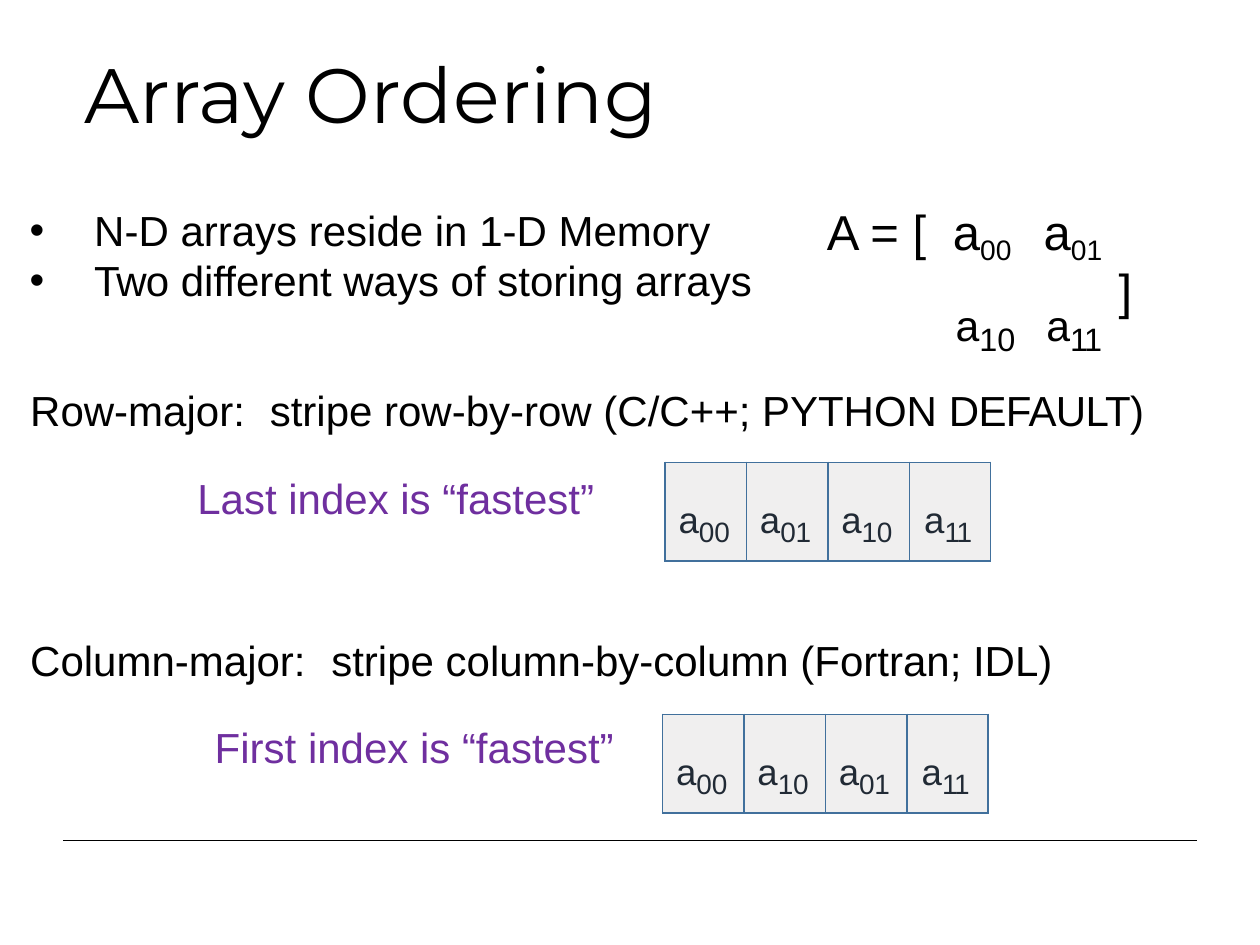
from lxml import etree
from pptx import Presentation
from pptx.dml.color import RGBColor
from pptx.enum.shapes import MSO_CONNECTOR
from pptx.enum.text import MSO_ANCHOR, MSO_AUTO_SIZE, PP_ALIGN
from pptx.oxml.ns import qn
from pptx.util import Cm, Pt

STRAIGHT = MSO_CONNECTOR.STRAIGHT
TOP = MSO_ANCHOR.TOP
NO_AUTOFIT = MSO_AUTO_SIZE.NONE
LEFT, RIGHT = PP_ALIGN.LEFT, PP_ALIGN.RIGHT
BLACK, PURPLE, INK = "000000", "6F2F9F", "212A35"
BORDER, CELL = "41709C", "F0EFEF"


def prepare_frame(frame, top_inset):
    """Wrap a text frame, anchor it at the top and drop its side insets."""
    frame.word_wrap = True
    frame.auto_size = NO_AUTOFIT
    frame.vertical_anchor = TOP
    frame.margin_left = frame.margin_right = frame.margin_bottom = 0
    frame.margin_top = Cm(top_inset)
    return frame


def write(paragraph, runs, color=BLACK, font="Arial", align=LEFT, before=0,
          indent=0, tabs=(), bullet=False):
    """Fill a paragraph with (text, size, baseline percent, spacing) runs."""
    paragraph.alignment = align
    paragraph.space_before = Pt(before)
    properties = paragraph._p.get_or_add_pPr()
    if indent:
        properties.set("marL", str(Cm(indent)))
    if bullet:
        properties.set("indent", str(-Cm(indent)))
        etree.SubElement(properties, qn("a:buFont"), typeface="Arial")
        etree.SubElement(properties, qn("a:buChar"), char="•")
    if tabs:
        stops = etree.SubElement(properties, qn("a:tabLst"))
        for stop in tabs:
            etree.SubElement(stops, qn("a:tab"), pos=str(Cm(stop)), algn="l")
    for text, size, baseline, spacing in runs:
        run = paragraph.add_run()
        run.text = text
        run.font.name = font
        run.font.size = Pt(size)
        run.font.color.rgb = RGBColor.from_string(color)
        run_properties = run._r.get_or_add_rPr()
        if baseline:
            run_properties.set("baseline", str(baseline * 1000))
        if spacing:
            run_properties.set("spc", str(round(spacing * 100)))


presentation = Presentation()
presentation.slide_width, presentation.slide_height = Cm(25.4), Cm(19.05)
slide = presentation.slides.add_slide(presentation.slide_layouts[5])
shapes = slide.shapes

# Footer rule and title
rule = shapes.add_connector(STRAIGHT, Cm(1.27), Cm(16.94), Cm(24.13), Cm(16.94))
rule.line.color.rgb = RGBColor.from_string(BLACK)
rule.line.width = Pt(0.48)
etree.SubElement(rule._element.spPr, qn("a:effectLst"))

title = shapes.title
title.left, title.top, title.width, title.height = Cm(1.7), Cm(0.91), Cm(12.6), Cm(1.93)
write(prepare_frame(title.text_frame, 0.03).paragraphs[0],
      [("Array Ordering", 44, 0, 0.2)], font="Montserrat")

# Text blocks: position, top inset, paragraphs with their options
text_blocks = [
    ((0.6, 4.09, 14.63, 2.11), 0.03, [
        ([("N-D arrays reside in 1-D Memory", 24, 0, 0)],
         dict(bullet=True, indent=1.3, before=1)),
        ([("Two", 24, 0, -0.6), (" different ways of storing arrays", 24, 0, 0)],
         dict(bullet=True, indent=1.3)),
    ]),
    ((16.28, 3.78, 5.94, 2.92), 0.28, [
        ([("A = [\ta", 28, 0, 0), ("00\t", 27.8, -20, 0),
          ("a", 28, 0, 0), ("01", 27.8, -20, 0)],
         dict(align=RIGHT, before=7.7, tabs=(2.54, 4.37))),
        ([("a", 42, 13, 0), ("10\t", 18.5, 0, 0),
          ("a", 42, 13, -1.4), ("11", 18.5, 0, -0.9)],
         dict(align=RIGHT, before=6.8, tabs=(1.83,))),
    ]),
    ((22.55, 5.21, 0.36, 1.27), 0.05, [
        ([("]", 28, 0, 0)], dict(before=1.1)),
    ]),
    ((0.58, 3.96, 22.61, 11.89), 3.8, [
        ([("Row-major:\tstripe row-by-row (C/C++; PYTHON ", 24, 0, 0),
          ("DEFAULT)", 24, 0, -0.4)], dict(before=1, indent=0.03, tabs=(4.83,))),
        ([("Last index is “fastest”", 24, 0, 0)],
         dict(color=PURPLE, indent=3.4, before=21.5)),
        ([("Column-major:\tstripe column-by-column (Fortran; IDL)", 24, 0, 0)],
         dict(before=63.5, indent=0.03, tabs=(6.07,))),
        ([("First index is “fastest”", 24, 0, 0)],
         dict(color=PURPLE, indent=3.75, before=21)),
    ]),
]
for position, top_inset, paragraphs in text_blocks:
    box = shapes.add_textbox(*[Cm(length) for length in position])
    frame = prepare_frame(box.text_frame, top_inset)
    for number, (runs, options) in enumerate(paragraphs):
        write(frame.add_paragraph() if number else frame.paragraphs[0], runs, **options)

# Memory layouts
memory_orders = [
    (13.41, 9.32, ("00", "01", "10", "11")),
    (13.36, 14.4, ("00", "10", "01", "11")),
]
for left, top, indices in memory_orders:
    memory = shapes.add_table(1, len(indices), Cm(left), Cm(top), Cm(6.56), Cm(1.99)).table
    memory.first_row = memory.horz_banding = False
    for column, index in enumerate(indices):
        memory.columns[column].width = Cm(1.64)
        cell = memory.cell(0, column)
        cell.margin_left = cell.margin_right = cell.margin_bottom = 0
        cell.margin_top = Cm(0.46)
        tight = index == "11"
        write(cell.text_frame.paragraphs[0],
              [("a", 36, 14, -1.3 if tight else -0.1),
               (index, 16, 0, -0.8 if tight else -0.1)],
              color=INK, before=13, indent=0.3 if tight else 0.27)
        cell_properties = cell._tc.get_or_add_tcPr()
        for side in ("lnL", "lnR", "lnT", "lnB"):
            edge = etree.SubElement(cell_properties, qn("a:" + side), w=str(Pt(1)))
            edge_fill = etree.SubElement(edge, qn("a:solidFill"))
            etree.SubElement(edge_fill, qn("a:srgbClr"), val=BORDER)
        cell.fill.solid()
        cell.fill.fore_color.rgb = RGBColor.from_string(CELL)

presentation.save("out.pptx")
